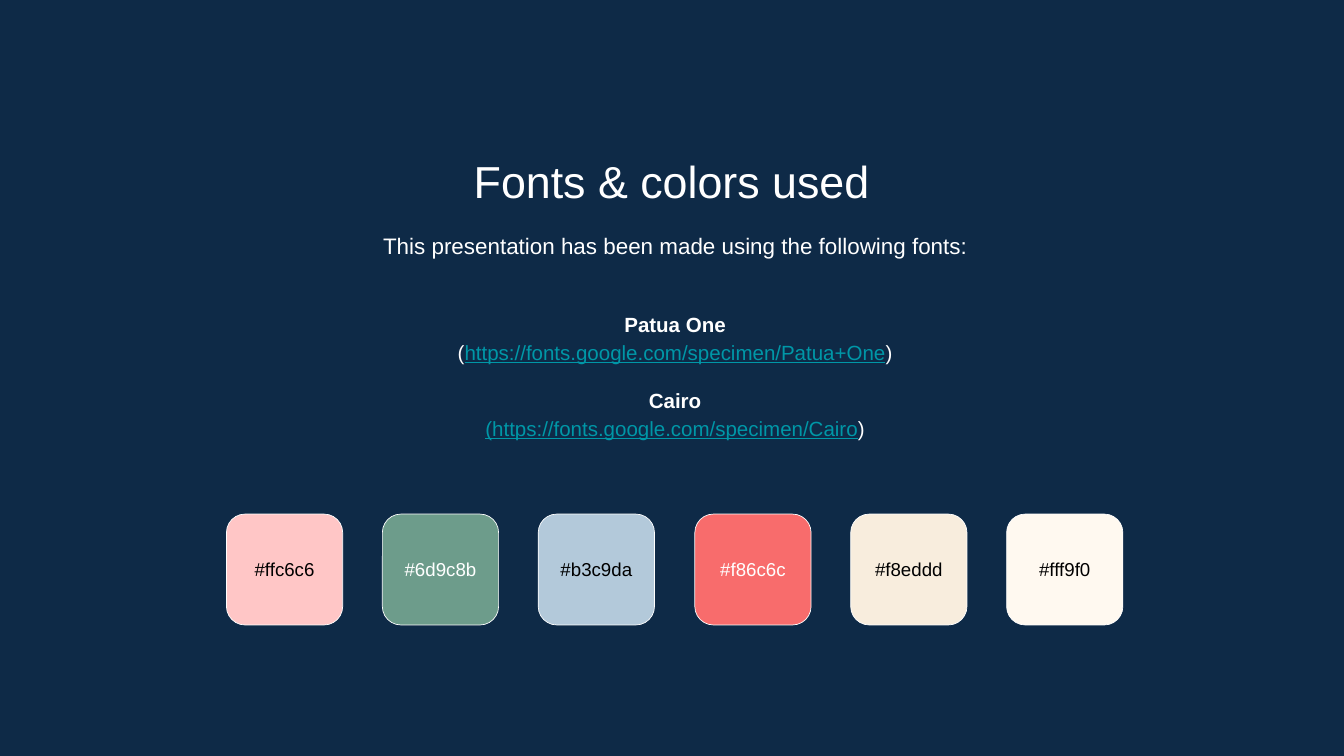
import dataclasses

import pptx
import pptx.dml.color
import pptx.enum.shapes
import pptx.enum.text
import pptx.util

PX = 9144
ALIGN = pptx.enum.text.PP_ALIGN
ANCHOR = pptx.enum.text.MSO_ANCHOR


@dataclasses.dataclass(frozen=True)
class Theme:
    font: str = "Arial"
    background: str = "0E2A47"
    light: str = "FFFFFF"
    dark: str = "000000"
    link: str = "0097A7"
    title: int = 48
    intro: int = 24
    body: int = 22
    label: int = 20
    outline: float = 0.75
    spacing: float = 1.15
    inset: int = 20


THEME = Theme()
FONTS = [
    ("Patua One", "(", "https://fonts.google.com/specimen/Patua+One"),
    ("Cairo", "", "(https://fonts.google.com/specimen/Cairo"),
]
SWATCHES = [
    ("#ffc6c6", THEME.dark),
    ("#6d9c8b", THEME.light),
    ("#b3c9da", THEME.dark),
    ("#f86c6c", THEME.light),
    ("#f8eddd", THEME.dark),
    ("#fff9f0", THEME.dark),
]


def rgb(value):
    return pptx.dml.color.RGBColor.from_string(value.lstrip("#").upper())


def emu(box):
    return [length * PX for length in box]


def set_all(target, values):
    for name, value in values.items():
        setattr(target, name, value)


def prepare_frame(sp, anchor):
    tf = sp.text_frame
    sides = ("left", "top", "right", "bottom")
    set_all(tf, {f"margin_{side}": THEME.inset * PX for side in sides})
    set_all(tf, {
        "word_wrap": True,
        "auto_size": pptx.enum.text.MSO_AUTO_SIZE.NONE,
        "vertical_anchor": anchor,
    })
    return tf


def add_frame(s, box, anchor=ANCHOR.TOP):
    return prepare_frame(s.shapes.add_textbox(*emu(box)), anchor)


def add_run(p, text, size, color=THEME.light, **formats):
    r = p.add_run()
    r.text = text
    set_all(r.font, {"name": THEME.font, "size": pptx.util.Pt(size), **formats})
    r.font.color.rgb = rgb(color)


def add_title(s, box, text):
    sp = s.shapes.title
    set_all(sp, dict(zip(("left", "top", "width", "height"), emu(box))))
    p = prepare_frame(sp, ANCHOR.TOP).paragraphs[0]
    p.alignment = ALIGN.CENTER
    add_run(p, text, THEME.title)


def add_intro(s, box, text):
    p = add_frame(s, box).paragraphs[0]
    set_all(p, {"alignment": ALIGN.CENTER, "line_spacing": THEME.spacing})
    add_run(p, text, THEME.intro)


def add_font_list(s, box, fonts):
    tf = add_frame(s, box, ANCHOR.MIDDLE)
    layout = {"alignment": ALIGN.CENTER, "line_spacing": THEME.spacing}
    for i, (name, opening, link) in enumerate(fonts):
        p = tf.add_paragraph() if i else tf.paragraphs[0]
        set_all(p, layout)
        if i:
            p.space_before = pptx.util.Pt(21)
        add_run(p, name, THEME.body, bold=True)
        p = tf.add_paragraph()
        set_all(p, layout)
        if opening:
            add_run(p, opening, THEME.body)
        add_run(p, link, THEME.body, THEME.link, underline=True)
        add_run(p, ")", THEME.body)


def add_swatch(s, box, code, text_color):
    left, top, width, height = box
    sp = s.shapes.add_shape(
        pptx.enum.shapes.MSO_SHAPE.ROUNDED_RECTANGLE, *emu(box))
    sp.shadow.inherit = False
    sp.fill.solid()
    sp.fill.fore_color.rgb = rgb(code)
    sp.line.color.rgb = rgb(THEME.light)
    sp.line.width = pptx.util.Pt(THEME.outline)
    label_height = 96
    label_top = top + (height - label_height) // 2
    tf = add_frame(s, (left, label_top, width, label_height), ANCHOR.MIDDLE)
    p = tf.paragraphs[0]
    p.alignment = ALIGN.CENTER
    add_run(p, code, THEME.label, text_color)


def add_palette(s, box, swatches):
    left, top, width, height = box
    swatch_width = 173
    pitch = (width - swatch_width) / (len(swatches) - 1)
    for i, (code, text_color) in enumerate(swatches):
        x = left + round(i * pitch)
        add_swatch(s, (x, top, swatch_width, height), code, text_color)


def main():
    prs = pptx.Presentation()
    set_all(prs, {"slide_width": 2000 * PX, "slide_height": 1125 * PX})
    s = prs.slides.add_slide(prs.slide_layouts.get_by_name("Title Only"))
    s.background.fill.solid()
    s.background.fill.fore_color.rgb = rgb(THEME.background)
    add_title(s, (229, 209, 1541, 106), "Fonts & colors used")
    add_intro(s, (234, 319, 1541, 96),
              "This presentation has been made using the following fonts:")
    add_font_list(s, (234, 420, 1541, 274), FONTS)
    add_palette(s, (337, 765, 1334, 165), SWATCHES)
    prs.save("out.pptx")


if __name__ == "__main__":
    main()
